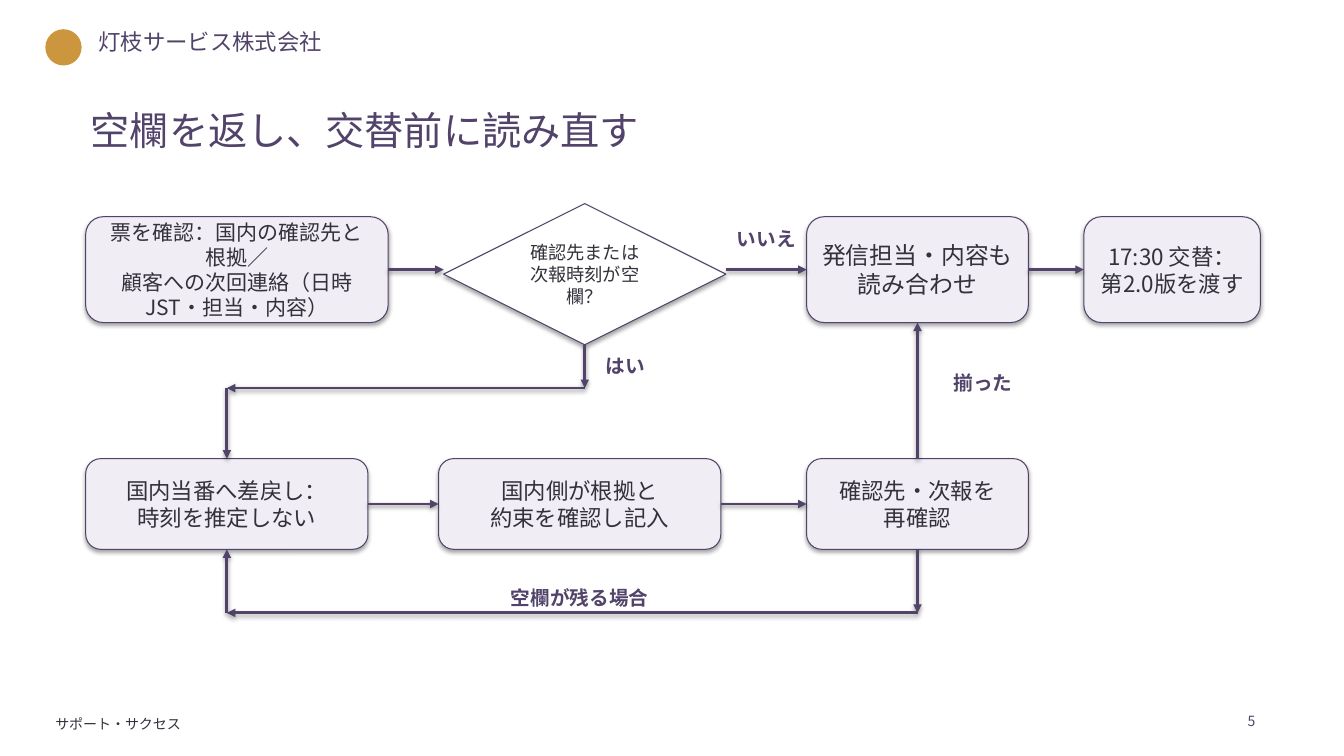
from lxml import etree
from pptx import Presentation
from pptx import util as u
from pptx.dml.color import RGBColor
from pptx.enum import shapes, text
from pptx.oxml.ns import qn

PX = 9144  # 100 px to the inch
FONT = "Noto Sans CJK JP"
VIOLET, LILAC, INK, GOLD, WHITE = "514369", "F0EDF4", "33313A", "CC963F", "FFFFFF"
TOP, LEFT, BOTTOM, RIGHT = range(4)
ALIGN = text.PP_ALIGN
ANCHOR = text.MSO_ANCHOR


def px(*lengths):
    return [u.Emu(length * PX) for length in lengths]


def color(value):
    return RGBColor.from_string(value)


def write(frame, words, size, ink, align=ALIGN.LEFT, anchor=ANCHOR.TOP, bold=False):
    frame.text = words
    frame.vertical_anchor = anchor
    for para in frame.paragraphs:
        para.alignment = align
        for span in para.runs:
            span.font.size = u.Pt(size)
            span.font.bold = bold
            span.font.color.rgb = color(ink)
            span.font.name = FONT
            # East Asian typeface
            etree.SubElement(span.font._element, qn("a:ea")).set("typeface", FONT)


def add_title(page, words):
    title = page.shapes.title
    title.left, title.top, title.width, title.height = px(80, 100, 1170, 80)
    write(title.text_frame, words, 28, VIOLET)
    title.text_frame.auto_size = text.MSO_AUTO_SIZE.NONE


def add_text(page, place, words, size, ink, wrap=True, **style):
    box = page.shapes.add_textbox(*px(*place))
    write(box.text_frame, words, size, ink, **style)
    box.text_frame.word_wrap = wrap
    box.text_frame.auto_size = text.MSO_AUTO_SIZE.SHAPE_TO_FIT_TEXT


def add_label(page, place, words):
    add_text(page, place, words, 14, VIOLET, align=ALIGN.CENTER,
             anchor=ANCHOR.MIDDLE, bold=True)


def add_step(page, place, words, size=16,
             kind=shapes.MSO_SHAPE.ROUNDED_RECTANGLE, fill=LILAC):
    """A flow step; it keeps the soft shadow of the theme."""
    step = page.shapes.add_shape(kind, *px(*place))
    step.fill.solid()
    step.fill.fore_color.rgb = color(fill)
    step.line.color.rgb = color(VIOLET)
    step.line.width = u.Pt(0.75)
    write(step.text_frame, words, size, INK, ALIGN.CENTER, ANCHOR.MIDDLE)
    step.text_frame.word_wrap = True
    return step


def add_arrow(page, start, end):
    """Each end is an (x, y) point or a (step, side) pair."""
    start_joined, end_joined = (not isinstance(tip[0], int) for tip in (start, end))
    begin_point = (0, 0) if start_joined else start
    end_point = (0, 0) if end_joined else end
    arrow = page.shapes.add_connector(
        shapes.MSO_CONNECTOR.STRAIGHT, *px(*begin_point, *end_point))
    if start_joined:
        arrow.begin_connect(*start)
    if end_joined:
        arrow.end_connect(*end)
    arrow.line.color.rgb = color(VIOLET)
    arrow.line.width = u.Pt(2)
    tail = etree.SubElement(arrow.line._get_or_add_ln(), qn("a:tailEnd"))
    tail.set("type", "triangle")
    return arrow


def add_frame(page):
    # Company name with a plain mark, footer and page number
    mark = page.shapes.add_shape(shapes.MSO_SHAPE.OVAL, *px(45, 29, 36, 36))
    mark.shadow.inherit = False
    mark.fill.solid()
    mark.fill.fore_color.rgb = color(GOLD)
    mark.line.fill.background()
    add_text(page, (88, 23, 290, 45), "灯枝サービス株式会社", 16, VIOLET, wrap=False)
    add_text(page, (45, 705, 210, 25), "サポート・サクセス", 10, INK, wrap=False)
    add_text(page, (1210, 705, 45, 20), "5", 10, VIOLET,
             align=ALIGN.RIGHT, anchor=ANCHOR.MIDDLE)


def add_flow(page):
    # Upper row
    check = add_step(page, (85, 215, 300, 105),
                     "票を確認：国内の確認先と根拠／\n顧客への次回連絡（日時JST・担当・内容）", 15)
    blank = add_step(page, (440, 202, 280, 140), "確認先または\n次報時刻が空欄？", 13,
                     shapes.MSO_SHAPE.DIAMOND, WHITE)
    review = add_step(page, (800, 215, 220, 105), "発信担当・内容も\n読み合わせ", 17)
    handover = add_step(page, (1075, 215, 175, 105), "17:30 交替：\n第2.0版を渡す")

    # Lower row
    send_back, fill_in, recheck = (
        add_step(page, (left, 455, width, 90), words)
        for left, width, words in (
            (85, 280, "国内当番へ差戻し：\n時刻を推定しない"),
            (435, 280, "国内側が根拠と\n約束を確認し記入"),
            (800, 220, "確認先・次報を\n再確認")))

    # Arrows beside the diamond stay level with the boxes
    to_blank = add_arrow(page, (check, RIGHT), (440, 267))
    to_blank.end_y = to_blank.begin_y
    to_review = add_arrow(page, (720, 267), (review, LEFT))
    to_review.begin_y = to_review.end_y

    # Other arrows between neighbours
    for start, end in ((review, handover), (send_back, fill_in), (fill_in, recheck)):
        add_arrow(page, (start, RIGHT), (end, LEFT))
    add_arrow(page, (recheck, TOP), (review, BOTTOM))

    # Bent routes back to the first lower step
    for source, x, y, side in ((blank, 580, 385, TOP), (recheck, 910, 608, BOTTOM)):
        add_arrow(page, (source, BOTTOM), (x, y))
        add_arrow(page, (x, y), (225, y))
        add_arrow(page, (225, y), (send_back, side))

    # Branch labels
    add_label(page, (720, 218, 80, 38), "いいえ")
    add_label(page, (590, 348, 60, 30), "はい")
    add_label(page, (925, 365, 100, 30), "揃った")
    add_label(page, (450, 578, 250, 30), "空欄が残る場合")


def main():
    deck = Presentation()
    deck.slide_width, deck.slide_height = px(1333, 750)
    page = deck.slides.add_slide(deck.slide_layouts[5])
    add_frame(page)
    add_title(page, "空欄を返し、交替前に読み直す")
    add_flow(page)
    deck.save("out.pptx")


if __name__ == "__main__":
    main()
